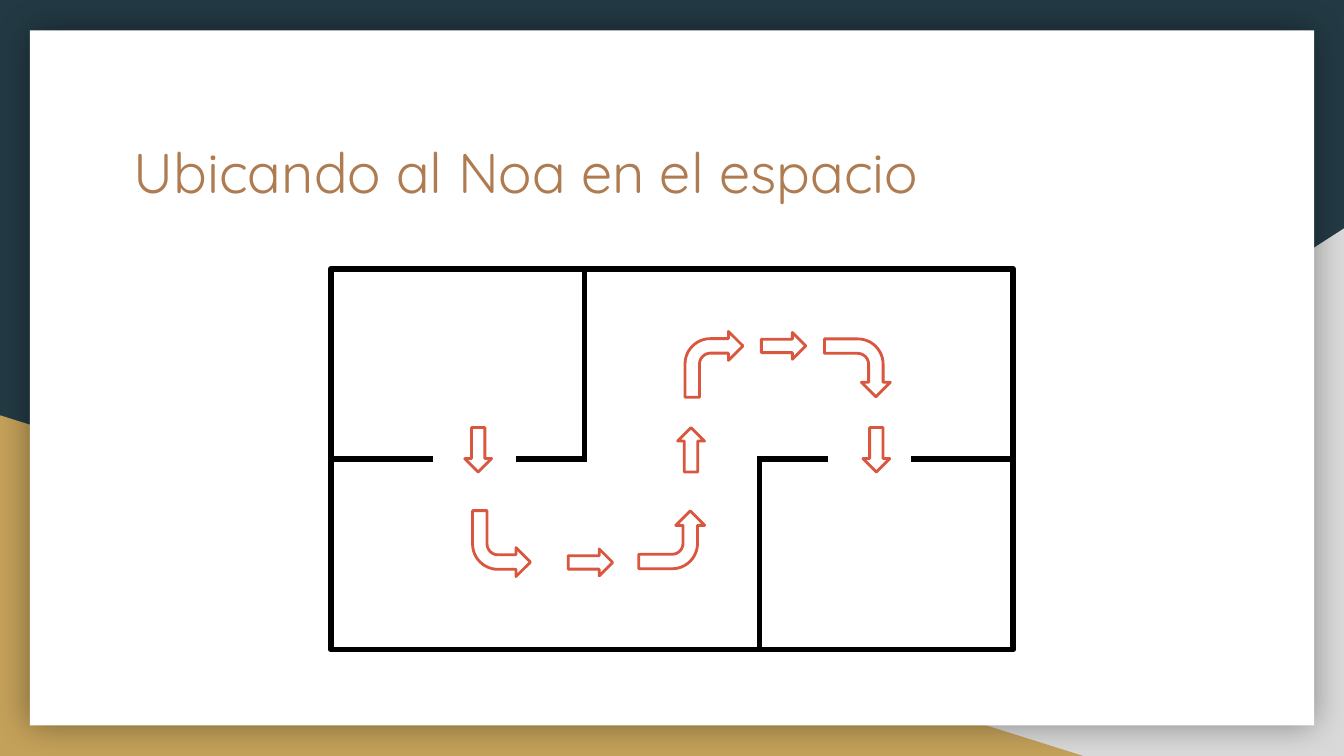
from lxml.etree import SubElement
from pptx import Presentation
from pptx.dml.color import RGBColor
from pptx.enum.shapes import MSO_CONNECTOR, MSO_SHAPE as Shape
from pptx.enum.text import MSO_ANCHOR, MSO_AUTO_SIZE, PP_ALIGN
from pptx.oxml.ns import qn
from pptx.util import Pt

NAVY, GRAY, GOLD, WHITE = "233A44", "D9D9D9", "C4A15A", "FFFFFF"
BROWN, BLACK, RED = "AF7B51", "000000", "D9563F"

WIDTH, HEIGHT = 720, 405
CENTER_X = WIDTH / 2
PLAN_TOP, PLAN_MIDDLE, PLAN_BOTTOM = 144, 246, 348
PLAN_HALF = 182.8

# Wall ends: distance from the plan's vertical axis, then height.
LEFT_WALLS = [
    ((-PLAN_HALF, PLAN_MIDDLE), (-128.2, PLAN_MIDDLE)),
    ((-83.8, PLAN_MIDDLE), (-45.4, PLAN_MIDDLE)),
    ((-46.8, PLAN_MIDDLE), (-46.8, PLAN_TOP)),
]

STRAIGHT_SIZE = (14.4, 23.8)
BENT_SIZE = (31, 35.3)
DOWN, UP, RIGHT = 0, 180, 270
DOORWAY_Y = 241

# Centre x, centre y, rotation.
STRAIGHT_ARROWS = [
    (256.2, DOORWAY_Y, DOWN),
    (316.3, 301.3, RIGHT),
    (370.2, DOORWAY_Y, UP),
    (419.8, 185.3, RIGHT),
    (469.5, DOORWAY_Y, DOWN),
]
# Centre x, centre y, rotation, mirrored.
BENT_ARROWS = [
    (268.7, 291.2, 180, True),
    (359.9, 289.2, 90, True),
    (382.5, 195.2, 0, False),
    (459.3, 197.1, 90, False),
]


def color(hex_code):
    return RGBColor.from_string(hex_code)


def add_figure(slide, kind, frame, fill=None, line=None, weight=1, mirrored=False):
    figure = slide.shapes.add_shape(kind, *map(Pt, frame))
    figure.shadow.inherit = False
    if fill:
        figure.fill.solid()
        figure.fill.fore_color.rgb = color(fill)
    else:
        figure.fill.background()
    if line:
        figure.line.color.rgb = color(line)
        figure.line.width = Pt(weight)
    else:
        figure.line.fill.background()
    if mirrored:
        figure._element.spPr.find(qn("a:xfrm")).set("flipH", "1")
    return figure


def add_glow_shadow(figure, blur, opacity):
    """Give the figure an even black shadow on all sides."""
    effects = figure._element.spPr.find(qn("a:effectLst"))
    shadow = SubElement(effects, qn("a:outerShdw"), blurRad=str(Pt(blur)),
                        dist="0", dir="0", algn="ctr", rotWithShape="0")
    tone = SubElement(shadow, qn("a:srgbClr"), val=BLACK)
    SubElement(tone, qn("a:alpha"), val=str(opacity * 1000))


def add_wall(slide, start, end):
    wall = slide.shapes.add_connector(MSO_CONNECTOR.STRAIGHT, *map(Pt, start + end))
    wall.line.color.rgb = color(BLACK)
    wall.line.width = Pt(3)
    SubElement(wall._element.spPr, qn("a:effectLst"))


def add_arrow(slide, kind, size, center, rotation, mirrored=False):
    width, height = size
    frame = (center[0] - width / 2, center[1] - height / 2, width, height)
    arrow = add_figure(slide, kind, frame, line=RED, weight=1.5, mirrored=mirrored)
    arrow.rotation = rotation
    return arrow


def add_backdrop(slide):
    slide.background.fill.solid()
    slide.background.fill.fore_color.rgb = color(NAVY)
    add_figure(slide, Shape.RIGHT_TRIANGLE, (282.2, 122.4, 437.8, 282.6), GRAY, mirrored=True)
    add_figure(slide, Shape.RIGHT_TRIANGLE, (0, 222.5, 580.3, 182.5), GOLD)
    card = add_figure(slide, Shape.RECTANGLE, (16, 16.3, 688, 372.4), WHITE)
    add_glow_shadow(card, blur=18, opacity=40)


def set_title(slide, text):
    title = slide.shapes.title
    slide.shapes._spTree.append(title._element)  # in front of the backdrop
    title.left, title.top, title.width, title.height = map(Pt, (64.4, 66.6, 591, 75))
    frame = title.text_frame
    frame.text = text
    frame.word_wrap = True
    frame.auto_size = MSO_AUTO_SIZE.NONE
    frame.vertical_anchor = MSO_ANCHOR.TOP
    frame.margin_left = frame.margin_right = Pt(7.2)
    frame.margin_top = frame.margin_bottom = Pt(7.2)
    para = frame.paragraphs[0]
    para.alignment = PP_ALIGN.LEFT
    para.font.name = "Quicksand"
    para.font.size = Pt(30)
    para.font.color.rgb = color(BROWN)


def add_floor_plan(slide):
    """Draw the outer walls and two rooms that are half-turn images of each other."""
    outline = (CENTER_X - PLAN_HALF, PLAN_TOP, 2 * PLAN_HALF, PLAN_BOTTOM - PLAN_TOP)
    add_figure(slide, Shape.RECTANGLE, outline, line=BLACK, weight=3)
    for side in (1, -1):
        for wall in LEFT_WALLS:
            start, end = [(CENTER_X + side * x, PLAN_MIDDLE + side * (y - PLAN_MIDDLE))
                          for x, y in wall]
            add_wall(slide, start, end)


def add_route(slide):
    for x, y, rotation in STRAIGHT_ARROWS:
        add_arrow(slide, Shape.DOWN_ARROW, STRAIGHT_SIZE, (x, y), rotation)
    for x, y, rotation, mirrored in BENT_ARROWS:
        arrow = add_arrow(slide, Shape.BENT_ARROW, BENT_SIZE, (x, y), rotation, mirrored)
        arrow.adjustments[3] = 0.438


def main():
    deck = Presentation()
    deck.slide_width, deck.slide_height = Pt(WIDTH), Pt(HEIGHT)
    slide = deck.slides.add_slide(deck.slide_layouts[5])
    add_backdrop(slide)
    set_title(slide, "Ubicando al Noa en el espacio")
    add_floor_plan(slide)
    add_route(slide)
    deck.save("out.pptx")


if __name__ == "__main__":
    main()
